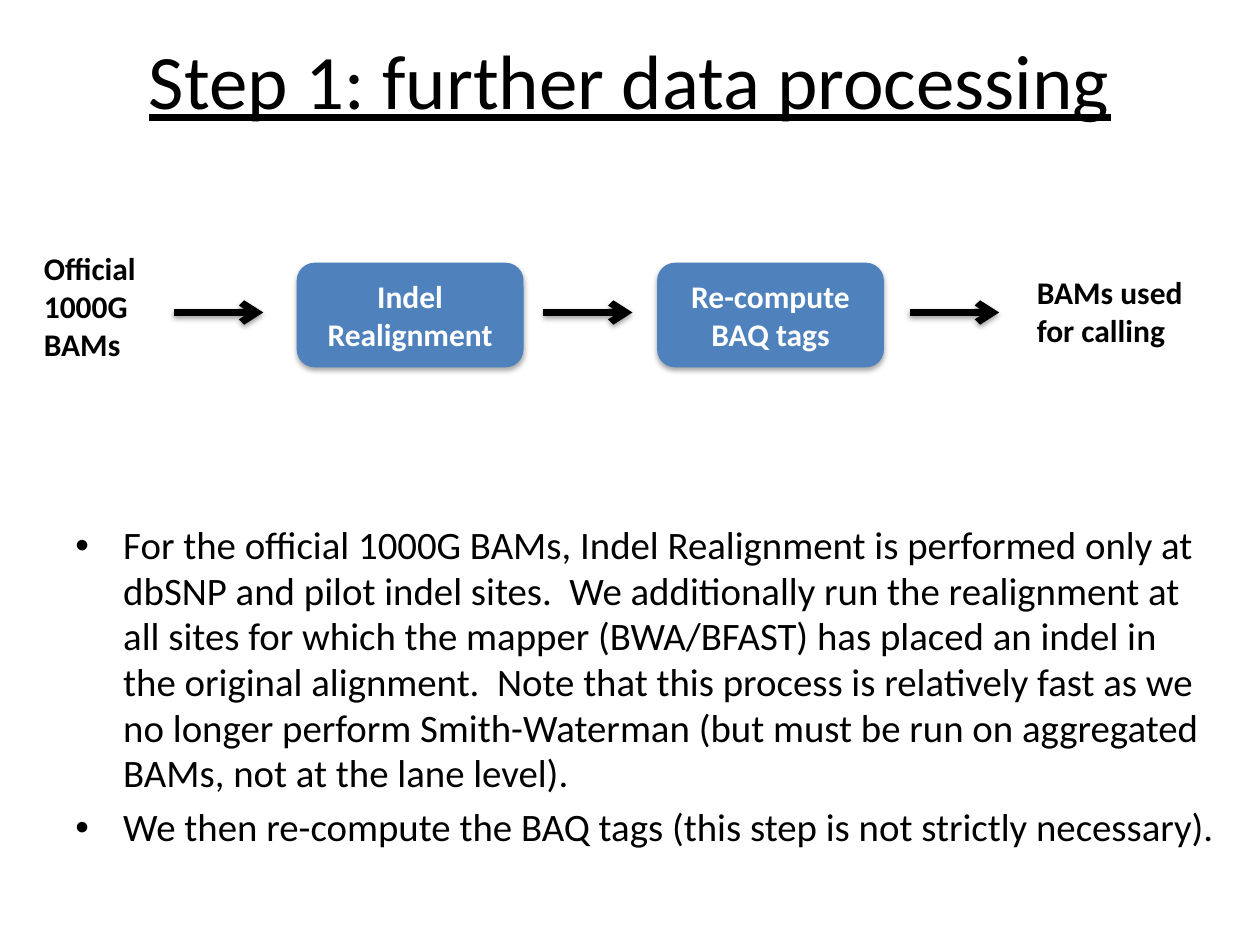
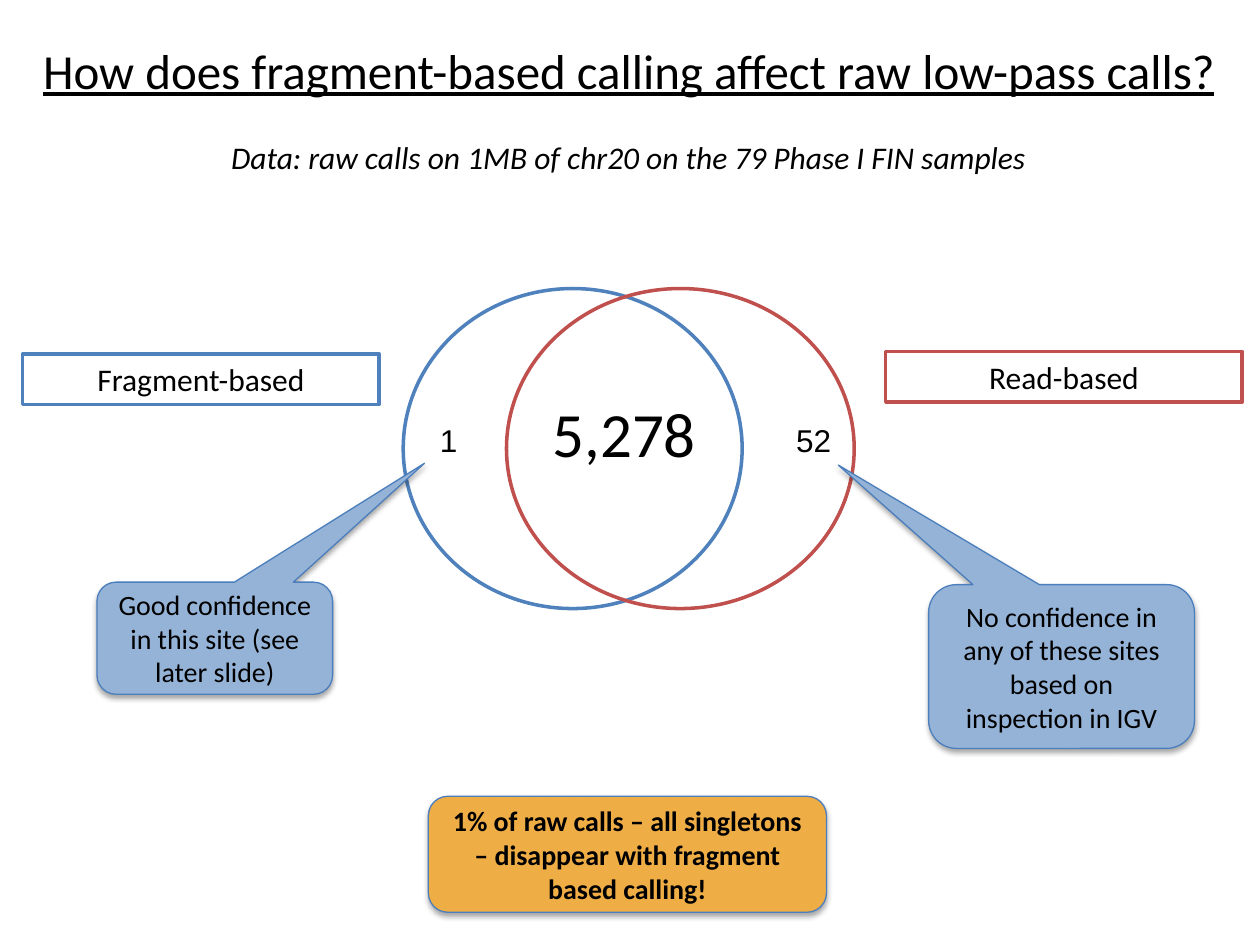
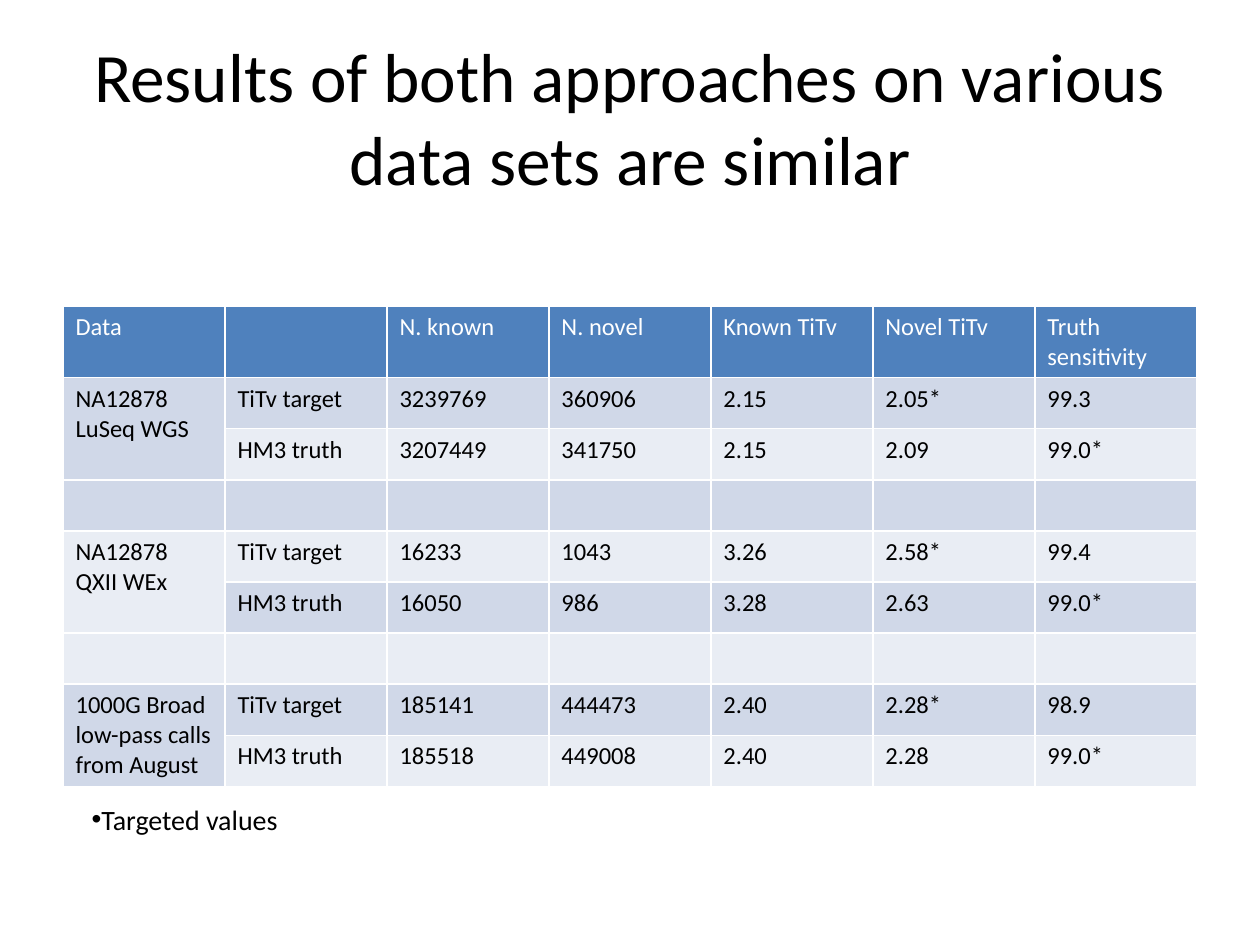
from dataclasses import dataclass

from lxml.etree import SubElement
from pptx import Presentation
from pptx.dml.color import RGBColor
from pptx.enum.shapes import MSO_CONNECTOR, MSO_SHAPE
from pptx.enum.text import MSO_ANCHOR, PP_ALIGN
from pptx.oxml.ns import qn
from pptx.slide import Slide
from pptx.text.text import TextFrame
from pptx.util import Inches, Pt

HUES = {
    "ink": "000000",
    "paper": "FFFFFF",
    "blue": "4F81BD",
    "red": "C0504D",
    "edge": "4B7EBC",
    "sky": "95B3D7",
    "gold": "EFAD46",
    "dark": "D0D8E8",
    "light": "E9EDF4",
}


@dataclass(frozen=True)
class Area:
    left: float
    top: float
    width: float
    height: float

    def lengths(self) -> tuple:
        return tuple(Inches(v) for v in (self.left, self.top, self.width, self.height))


@dataclass(frozen=True)
class Line:
    """One paragraph; hang is the hanging indent in inches of a bulleted one."""
    text: str
    size: float = 18
    font: str = "Calibri"
    hue: str = "ink"
    bold: bool = False
    slant: bool = False
    under: bool = False
    center: bool = False
    bullet: bool = False
    hang: float = 0
    before: float = 0
    pitch: float = 1


@dataclass(frozen=True)
class Form:
    kind: MSO_SHAPE
    area: Area
    edge: str
    fill: str = ""
    weight: float = 0.75
    shade: bool = True
    line: Line | None = None
    bends: tuple[float, ...] = ()


def shade(name: str) -> RGBColor:
    return RGBColor.from_string(HUES[name])


def write(frame: TextFrame, lines: tuple[Line, ...]) -> None:
    for index, line in enumerate(lines):
        para = frame.add_paragraph() if index else frame.paragraphs[0]
        para.alignment = PP_ALIGN.CENTER if line.center else PP_ALIGN.LEFT
        if line.before:
            para.space_before = Pt(line.before)
        if line.pitch != 1:
            para.line_spacing = line.pitch
        if line.bullet:
            props = para._p.get_or_add_pPr()
            props.set("marL", str(Inches(line.hang)))
            props.set("indent", str(-Inches(line.hang)))
            SubElement(props, qn("a:buFont")).set("typeface", "Arial")
            SubElement(props, qn("a:buChar")).set("char", "•")
        run = para.add_run()
        run.text = line.text
        font = run.font
        font.name, font.size = line.font, Pt(line.size)
        font.bold, font.italic, font.underline = line.bold, line.slant, line.under
        font.color.rgb = shade(line.hue)


def label(slide: Slide, area: Area, *lines: Line, wrap: bool = True,
          middle: bool = False) -> None:
    frame = slide.shapes.add_textbox(*area.lengths()).text_frame
    frame.word_wrap = wrap
    frame.vertical_anchor = MSO_ANCHOR.MIDDLE if middle else MSO_ANCHOR.TOP
    write(frame, lines)


def title(slide: Slide, top: float, text: str, size: float, under: bool = False) -> None:
    label(slide, Area(0.5, top, 9, 1.25),
          Line(text, size, under=under, center=True), middle=True)


def draw(slide: Slide, form: Form) -> None:
    shape = slide.shapes.add_shape(form.kind, *form.area.lengths())
    for index, bend in enumerate(form.bends):
        shape.adjustments[index] = bend
    if form.fill:
        shape.fill.solid()
        shape.fill.fore_color.rgb = shade(form.fill)
    else:
        shape.fill.background()
    shape.line.color.rgb = shade(form.edge)
    shape.line.width = Pt(form.weight)
    if not form.shade:
        shape.shadow.inherit = False
    if form.line:
        shape.text_frame.word_wrap = True
        shape.text_frame.vertical_anchor = MSO_ANCHOR.MIDDLE
        write(shape.text_frame, (form.line,))


def arrow(slide: Slide, left: float, top: float, width: float) -> None:
    """Draw a level arrow to the right, with the soft shadow of the theme."""
    link = slide.shapes.add_connector(
        MSO_CONNECTOR.STRAIGHT, Inches(left), Inches(top), Inches(left + width), Inches(top))
    link.line.color.rgb = shade("ink")
    link.line.width = Pt(4)
    SubElement(link.line._get_or_add_ln(), qn("a:tailEnd")).set("type", "arrow")


def steps(slide: Slide) -> None:
    title(slide, 0, "Step 1: further data processing", 44, under=True)
    label(slide, Area(0.25, 1.93, 0.94, 1.01),
          *(Line(text, bold=True) for text in ("Official", "1000G", "BAMs")), wrap=False)
    for left in (1.38, 4.31, 7.22):
        arrow(slide, left, 2.48, 0.71)
    for left, text in ((2.36, "Indel Realignment"), (5.22, "Re-compute BAQ tags")):
        draw(slide, Form(MSO_SHAPE.ROUNDED_RECTANGLE, Area(left, 2.09, 1.79, 0.82),
                         "blue", "blue",
                         line=Line(text, hue="paper", bold=True, center=True)))
    label(slide, Area(8.13, 2.12, 1.45, 0.71),
          *(Line(text, bold=True) for text in ("BAMs used", "for calling")))
    notes = (
        "For the official 1000G BAMs, Indel Realignment is performed only at dbSNP and "
        "pilot indel sites.  We additionally run the realignment at all sites for which "
        "the mapper (BWA/BFAST) has placed an indel in the original alignment.  Note that "
        "this process is relatively fast as we no longer perform Smith-Waterman (but must "
        "be run on aggregated BAMs, not at the lane level).",
        "We then re-compute the BAQ tags (this step is not strictly necessary).",
    )
    label(slide, Area(0.5, 4.1, 9.27, 2.99),
          *(Line(text, 22.2, bullet=True, hang=0.38, before=4.4 if index else 0, pitch=0.98)
            for index, text in enumerate(notes)))


def overlap(slide: Slide) -> None:
    for left, width, edge in ((3.2, 2.69, "blue"), (4.02, 2.76, "red")):
        draw(slide, Form(MSO_SHAPE.OVAL, Area(left, 2.29, width, 2.54), edge,
                         weight=2, shade=False))
    for left, top, edge, text in ((0.18, 2.81, "blue", "Fragment-based"),
                                  (7.03, 2.79, "red", "Read-based")):
        draw(slide, Form(MSO_SHAPE.RECTANGLE, Area(left, top, 2.83, 0.4), edge, "paper",
                         2, False, Line(text, center=True)))
    label(slide, Area(6.22, 3.29, 0.8, 0.4), Line("52", font="Arial"))
    label(slide, Area(3.9, 3.08, 2.11, 0.71), Line("5,278", 36, center=True))
    label(slide, Area(3.09, 3.29, 0.94, 0.4), Line("1", font="Arial", center=True))
    label(slide, Area(0.18, 0.23, 9.62, 1.25),
          Line("How does fragment-based calling affect raw low-pass calls?", 28,
               under=True, center=True),
          Line("Data: raw calls on 1MB of chr20 on the 79 Phase I FIN samples",
               slant=True, center=True, before=22),
          middle=True)
    callout = MSO_SHAPE.ROUNDED_RECTANGULAR_CALLOUT
    forms = (
        Form(callout, Area(0.77, 4.62, 1.87, 0.89), "edge", "sky",
             line=Line("Good confidence in this site (see later slide)", 16, center=True),
             bends=(0.89, -1.56, 0.17)),
        Form(callout, Area(7.37, 4.64, 2.11, 1.3), "edge", "sky",
             line=Line("No confidence in any of these sites based on inspection in IGV",
                       16, center=True),
             bends=(-0.84, -1.23, 0.17)),
        Form(MSO_SHAPE.ROUNDED_RECTANGLE, Area(3.4, 6.32, 3.16, 0.92), "edge", "gold",
             line=Line("1% of raw calls – all singletons – disappear with fragment "
                       "based calling!", 16, bold=True, center=True)),
    )
    for form in forms:
        draw(slide, form)


HEADS = ("Data", "", "N. known", "N. novel", "Known TiTv", "Novel TiTv", "Truth sensitivity")
GAP = ("",) * len(HEADS)
ROWS = (
    HEADS,
    ("NA12878 LuSeq WGS", "TiTv target", "3239769", "360906", "2.15", "2.05*", "99.3"),
    ("", "HM3 truth", "3207449", "341750", "2.15", "2.09", "99.0*"),
    GAP,
    ("NA12878 QXII WEx", "TiTv target", "16233", "1043", "3.26", "2.58*", "99.4"),
    ("", "HM3 truth", "16050", "986", "3.28", "2.63", "99.0*"),
    GAP,
    ("1000G Broad low-pass calls from August", "TiTv target", "185141", "444473", "2.40",
     "2.28*", "98.9"),
    ("", "HM3 truth", "185518", "449008", "2.40", "2.28", "99.0*"),
)


def results(slide: Slide) -> None:
    title(slide, 0.3, "Results of both approaches on various data sets are similar", 39.6)
    grid = slide.shapes.add_table(
        len(ROWS), len(HEADS), *Area(0.5, 2.43, 9, 3.65).lengths()).table
    for row, texts in enumerate(ROWS):
        fill = "blue" if row == 0 else "dark" if row % 2 else "light"
        for col, text in enumerate(texts):
            cell = grid.cell(row, col)
            cell.fill.solid()
            cell.fill.fore_color.rgb = shade(fill)
            if text:
                write(cell.text_frame, (Line(text, 14, hue="ink" if row else "paper"),))
        if row and texts[0]:
            grid.cell(row, 0).merge(grid.cell(row + 1, 0))
    label(slide, Area(0.63, 6.32, 1.86, 0.37), Line("Targeted values", 16, bullet=True),
          wrap=False)


def main() -> None:
    deck = Presentation()
    deck.slide_width, deck.slide_height = Inches(10), Inches(7.5)
    for build in (steps, overlap, results):
        build(deck.slides.add_slide(deck.slide_layouts[6]))
    deck.save("out.pptx")


if __name__ == "__main__":
    main()
